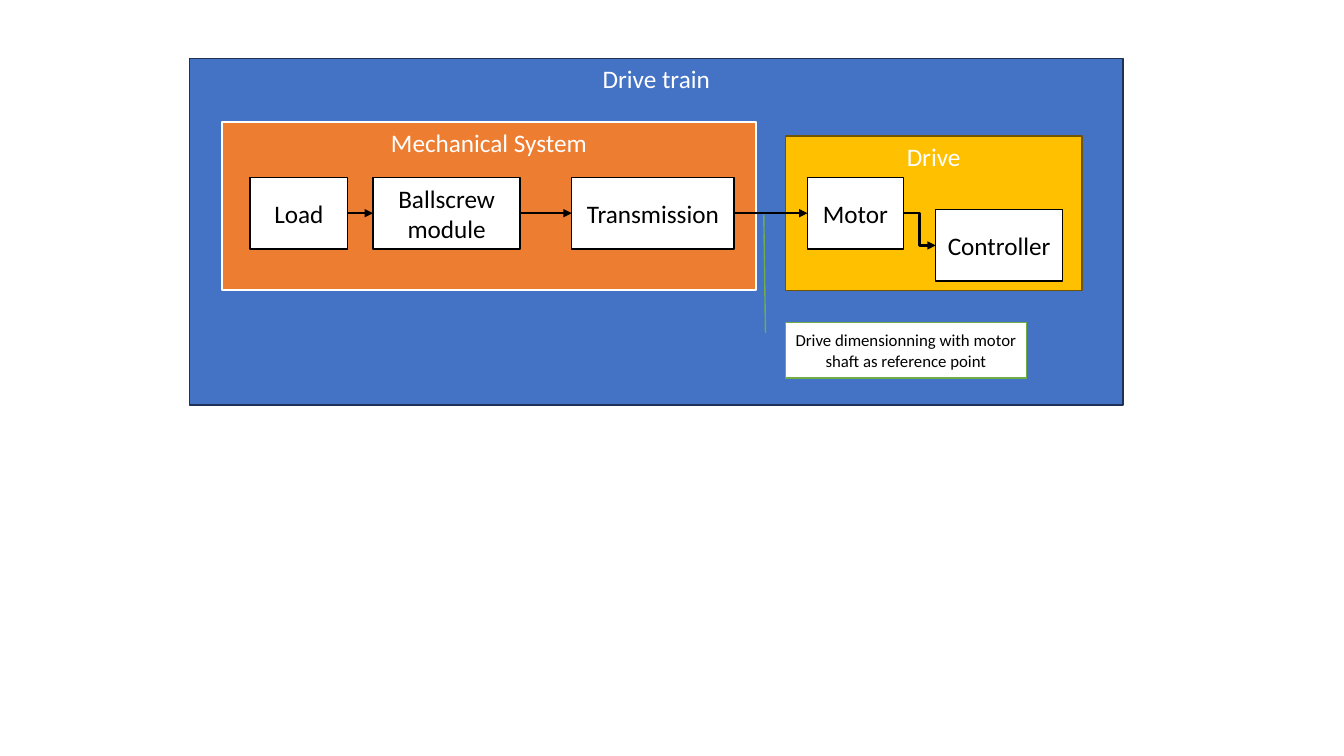
from dataclasses import dataclass

from lxml.etree import SubElement
from pptx import Presentation
from pptx.dml.color import RGBColor
from pptx.enum.shapes import MSO_CONNECTOR as Connector
from pptx.enum.shapes import MSO_SHAPE as Preset
from pptx.enum.text import MSO_ANCHOR as Anchor
from pptx.enum.text import PP_ALIGN as Align
from pptx.oxml.ns import qn
from pptx.shapes.autoshape import Shape
from pptx.slide import Slide
from pptx.util import Inches, Pt


@dataclass(frozen=True)
class Theme:
    font: str = "Calibri"
    label_size: int = 18
    note_size: int = 12
    white: str = "FFFFFF"
    black: str = "000000"
    blue: str = "4472C4"
    navy: str = "1E3256"
    orange: str = "ED7D31"
    yellow: str = "FFC000"
    brown: str = "705400"
    green: str = "70AD47"


THEME = Theme()
LEFT_SIDE, RIGHT_SIDE = 1, 3


@dataclass(frozen=True)
class Box:
    """A labelled rectangle; the defaults describe a component."""
    text: str
    left: float
    width: float
    top: float = 1.76
    height: float = 0.71
    fill: str = THEME.white
    border: str = THEME.black
    border_width: float = 1
    color: str = THEME.black
    size: int = THEME.label_size
    anchor: Anchor = Anchor.MIDDLE
    preset: Preset = Preset.RECTANGLE


def system(text: str, left: float, top: float, width: float, height: float,
           fill: str, border: str, border_width: float = 1) -> Box:
    """A coloured area with its title at the top."""
    return Box(text, left, width, top, height, fill, border, border_width,
               color=THEME.white, anchor=Anchor.TOP)


SYSTEMS = (
    system("Drive train", 1.88, 0.58, 9.26, 3.44, THEME.blue, THEME.navy),
    system("Mechanical System", 2.2, 1.21, 5.3, 1.67,
           THEME.orange, THEME.white, 1.5),
    system("Drive", 7.79, 1.35, 2.94, 1.53, THEME.yellow, THEME.brown),
)
# Components in the order in which they are linked
COMPONENTS = (
    Box("Load", 2.48, 0.97),
    Box("Ballscrew module", 3.7, 1.46),
    Box("Transmission", 5.67, 1.61),
    Box("Motor", 8.01, 0.95),
    Box("Controller", 9.28, 1.26, top=2.08),
)
NOTE = Box("Drive dimensionning with motor shaft as reference point",
           7.79, 2.39, 3.2, 0.55, border=THEME.green, size=THEME.note_size,
           preset=Preset.LINE_CALLOUT_1)
NOTE_LEADER = (0.188, -0.083, -1.95, -0.09)


def write_text(shape: Shape, text: str, *, size: int, color: str,
               anchor: Anchor) -> None:
    frame = shape.text_frame
    frame.word_wrap = True
    frame.vertical_anchor = anchor
    para = frame.paragraphs[0]
    para.alignment = Align.CENTER
    span = para.add_run()
    span.text = text
    span.font.name = THEME.font
    span.font.size = Pt(size)
    span.font.color.rgb = RGBColor.from_string(color)


def draw_box(page: Slide, box: Box) -> Shape:
    shape = page.shapes.add_shape(box.preset, Inches(box.left), Inches(box.top),
                                  Inches(box.width), Inches(box.height))
    shape.shadow.inherit = False
    shape.fill.solid()
    shape.fill.fore_color.rgb = RGBColor.from_string(box.fill)
    shape.line.color.rgb = RGBColor.from_string(box.border)
    shape.line.width = Pt(box.border_width)
    write_text(shape, box.text, size=box.size, color=box.color,
               anchor=box.anchor)
    return shape


def draw_arrow(page: Slide, source: Shape, target: Shape) -> None:
    arrow = page.shapes.add_connector(Connector.ELBOW, 0, 0, 0, 0)
    arrow.begin_connect(source, RIGHT_SIDE)
    arrow.end_connect(target, LEFT_SIDE)
    arrow.line.color.rgb = RGBColor.from_string(THEME.black)
    arrow.line.width = Pt(1.5)
    # Arrowhead, and no shadow
    SubElement(arrow.line._get_or_add_ln(), qn("a:tailEnd"), type="triangle")
    SubElement(arrow._element.spPr, qn("a:effectLst"))


def main() -> None:
    deck = Presentation()
    deck.slide_width, deck.slide_height = Inches(13.33), Inches(7.5)
    page = deck.slides.add_slide(deck.slide_layouts[6])

    # Nested systems
    for area in SYSTEMS:
        draw_box(page, area)

    # Chain of components
    chain = [draw_box(page, component) for component in COMPONENTS]
    for source, target in zip(chain, chain[1:]):
        draw_arrow(page, source, target)

    # Callout pointing at the motor shaft
    note = draw_box(page, NOTE)
    for index, value in enumerate(NOTE_LEADER):
        note.adjustments[index] = value

    deck.save("out.pptx")


if __name__ == "__main__":
    main()
